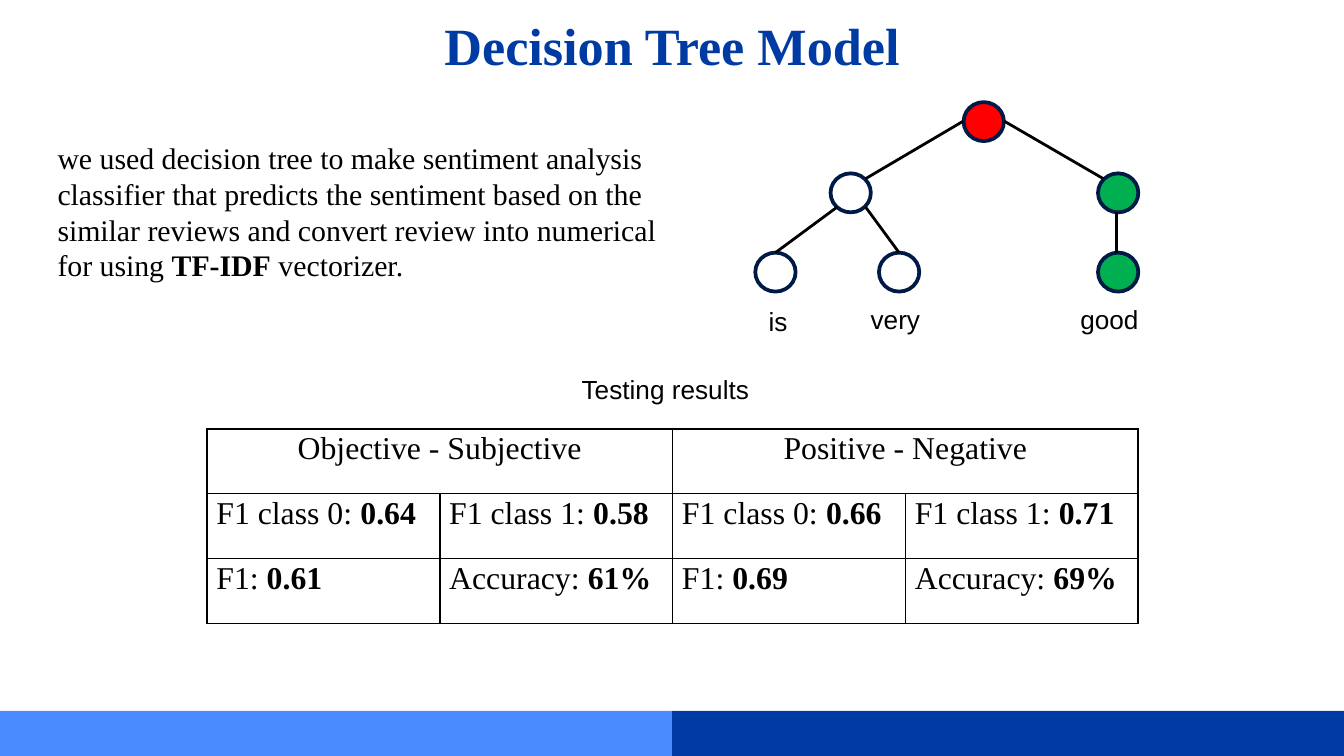
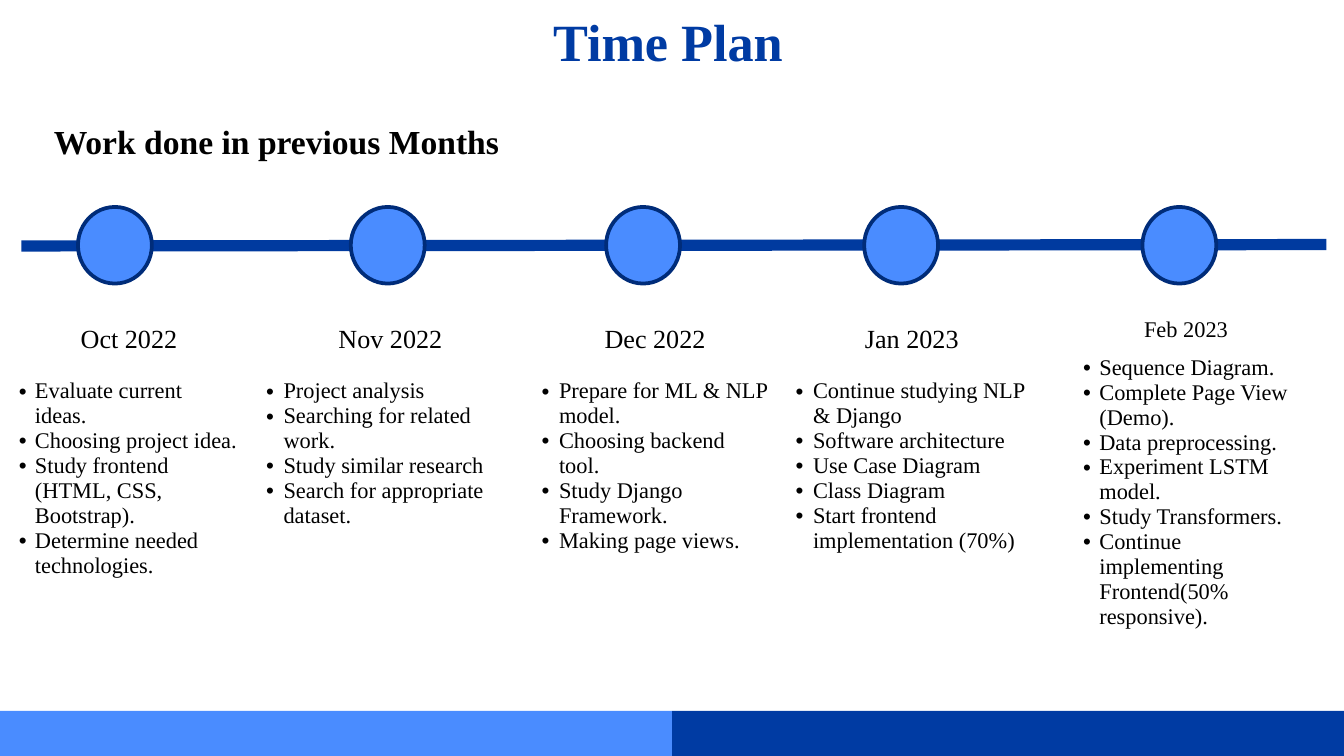
"""Builds two slides: a decision tree model with its test results, and a project time plan."""
from lxml import etree
from pptx import Presentation
from pptx.dml.color import RGBColor
from pptx.enum.shapes import MSO_CONNECTOR, MSO_SHAPE
from pptx.enum.text import MSO_ANCHOR, MSO_AUTO_SIZE, PP_ALIGN
from pptx.oxml.ns import qn
from pptx.util import Inches, Pt

LEFT, CENTER = PP_ALIGN.LEFT, PP_ALIGN.CENTER
TOP = MSO_ANCHOR.TOP
NO_FIT = MSO_AUTO_SIZE.NONE
RECT, OVAL = MSO_SHAPE.RECTANGLE, MSO_SHAPE.OVAL
STRAIGHT = MSO_CONNECTOR.STRAIGHT
NO_GRID = "{2D5ABB26-0587-4C30-8999-92F81FD0307C}"


class Theme:
    serif, sans = "Times New Roman", "Arial"
    navy, blue = "003BA3", "4A8CFF"
    timeline, milestone_edge, node_edge = "003A9F", "002C79", "001A47"
    red, green, white, black = "FF0000", "00B050", "FFFFFF", "000000"
    title, subtitle, results, body, label, small = 28, 18, 17, 16, 14, 12


def add_runs(p, parts, size, font=Theme.serif, color=Theme.black, align=LEFT):
    """Write (text, bold) parts into a paragraph."""
    p.alignment = align
    for text, bold in parts:
        r = p.add_run()
        r.text = text
        r.font.name, r.font.size, r.font.bold = font, Pt(size), bold
        r.font.color.rgb = RGBColor.from_string(color)


def add_filled(s, kind, box, fill, edge=None):
    """Draw a flat shape, with a 2 pt outline if an edge colour is given."""
    sp = s.shapes.add_shape(kind, *map(Inches, box))
    sp.shadow.inherit = False
    sp.fill.solid()
    sp.fill.fore_color.rgb = RGBColor.from_string(fill)
    if edge:
        sp.line.color.rgb = RGBColor.from_string(edge)
        sp.line.width = Pt(2)
    else:
        sp.line.fill.background()
    return sp


prs = Presentation()
prs.slide_width = Inches(10)
prs.slide_height = Inches(10) * 9 // 16
title_only = prs.slide_layouts[5]
model = prs.slides.add_slide(title_only)
plan = prs.slides.add_slide(title_only)

for x, color in [(5, Theme.navy), (0, Theme.blue)]:
    band = add_filled(model, RECT, (x, 5.29, 5, 0.34), color)
    prs.slide_master.shapes.element.append(band.element)

headings = [
    (model.shapes.title, (0, 0, 10, 0.63), "Decision Tree Model", Theme.title, Theme.navy, CENTER),
    (plan.shapes.title, (0.3, 0.8, 4.41, 0.45), "Work done in previous Months",
     Theme.subtitle, Theme.black, LEFT),
    (plan.shapes.add_textbox(0, 0, 0, 0), (-0.03, -0.03, 10, 0.63), "Time Plan",
     Theme.title, Theme.navy, CENTER),
]
for sp, box, text, size, color, align in headings:
    sp.left, sp.top, sp.width, sp.height = map(Inches, box)
    tf = sp.text_frame
    tf.word_wrap, tf.auto_size, tf.vertical_anchor = True, NO_FIT, TOP
    tf.margin_left = tf.margin_right = tf.margin_top = tf.margin_bottom = Inches(0.1)
    add_runs(tf.paragraphs[0], [(text, True)], size, color=color, align=align)

description = [
    ("we used decision tree to make sentiment analysis classifier that predicts the sentiment "
     "based on the similar reviews and convert review into numerical for using ", False),
    ("TF-IDF", True),
    (" vectorizer.", False),
]
texts = [
    ((0.33, 0.99, 4.67, 1.18), description, Theme.body, Theme.serif),
    ((4.23, 2.73, 1.54, 0.34), [("Testing results", False)], Theme.label, Theme.sans),
    ((5.62, 2.22, 0.38, 0.34), [("is", False)], Theme.label, Theme.sans),
    ((6.38, 2.21, 0.63, 0.34), [("very", False)], Theme.label, Theme.sans),
    ((7.94, 2.21, 0.74, 0.34), [("good", False)], Theme.label, Theme.sans),
]
for box, parts, size, font in texts:
    tf = model.shapes.add_textbox(*map(Inches, box)).text_frame
    tf.word_wrap = True
    add_runs(tf.paragraphs[0], parts, size, font)

nodes = [
    (7.17, 0.76, Theme.red),
    (6.18, 1.29, Theme.white), (8.17, 1.29, Theme.green),
    (5.62, 1.88, Theme.white), (6.54, 1.88, Theme.white), (8.17, 1.88, Theme.green),
]
for x, y, fill in nodes:
    add_filled(model, OVAL, (x, y, 0.3, 0.29), fill, Theme.node_edge)

lines = [
    (model, (7.17, 0.9, 6.44, 1.33), Theme.black, 1.5),
    (model, (7.47, 0.9, 8.21, 1.33), Theme.black, 1.5),
    (model, (6.23, 1.54, 5.77, 1.88), Theme.black, 1.5),
    (model, (6.44, 1.54, 6.69, 1.88), Theme.black, 1.5),
    (model, (8.31, 1.58, 8.31, 1.88), Theme.black, 1.5),
    (plan, (0.16, 1.83, 9.87, 1.82), Theme.timeline, 6),
]
for s, ends, color, width in lines:
    line = s.shapes.add_connector(STRAIGHT, *map(Inches, ends))
    line.line.color.rgb = RGBColor.from_string(color)
    line.line.width = Pt(width)
    etree.SubElement(line.element.spPr, qn("a:effectLst"))

for x in (0.58, 2.61, 4.51, 6.43, 8.5):
    add_filled(plan, OVAL, (x, 1.54, 0.55, 0.57), Theme.blue, Theme.milestone_edge)

results = [
    [("Objective - Subjective", ""), None, ("Positive - Negative", ""), None],
    [("F1 class 0: ", "0.64"), ("F1 class 1: ", "0.58"),
     ("F1 class 0: ", "0.66"), ("F1 class 1: ", "0.71")],
    [("F1: ", "0.61"), ("Accuracy: ", "61%"), ("F1: ", "0.69"), ("Accuracy: ", "69%")],
]
box = map(Inches, (1.54, 3.19, 6.93, 1.45))
table = model.shapes.add_table(3, 4, *box).table
table.first_row = table.horz_banding = False
table._tbl.tblPr.find(qn("a:tableStyleId")).text = NO_GRID
for i in (0, 2):
    table.cell(0, i).merge(table.cell(0, i + 1))
for i, row in enumerate(results):
    for j, entry in enumerate(row):
        cell = table.cell(i, j)
        cell.margin_left = cell.margin_right = Inches(0.07)
        cell.margin_top = cell.margin_bottom = 0
        for side in ("lnL", "lnR", "lnT", "lnB"):
            ln = etree.SubElement(cell._tc.get_or_add_tcPr(), qn(f"a:{side}"), w=str(Pt(1)))
            fill = etree.SubElement(ln, qn("a:solidFill"))
            etree.SubElement(fill, qn("a:srgbClr"), val=Theme.black)
        cell.fill.background()
        if entry:
            name, value = entry
            parts = [(name, False)] + ([(value, True)] if value else [])
            p = cell.text_frame.paragraphs[0]
            p.line_spacing, p.space_after = 1.07, Pt(2)
            add_runs(p, parts, Theme.results, align=LEFT if value else CENTER)

first_months = [
    ("Oct 2022", 1.84, 0.12, [
        "Evaluate current ideas.", "Choosing project idea.",
        "Study frontend (HTML, CSS, Bootstrap).", "Determine needed technologies."]),
    ("Nov 2022", 2.05, 0.13, [
        "Project analysis", "Searching for related work.",
        "Study similar research", "Search for appropriate dataset."]),
    ("Dec 2022", 1.89, 0.13, [
        "Prepare for ML & NLP model.", "Choosing backend tool.",
        "Study Django Framework.", "Making page views."]),
    ("Jan 2023", 1.93, 0.13, [
        "Continue studying NLP & Django", "Software architecture", "Use Case Diagram",
        "Class Diagram", "Start frontend implementation (70%)"]),
]
last_month = [
    ("Feb 2023", 1.73, 0.12, [
        "Sequence Diagram.", "Complete Page View (Demo).", "Data preprocessing.",
        "Experiment LSTM model.", "Study Transformers.",
        "Continue implementing Frontend(50% responsive)."]),
]
schedules = [
    (first_months, (0.04, 2.37, 7.71, 2.6), (0.4, 2.2), Theme.label),
    (last_month, (7.96, 2.31, 1.73, 2.69), (0.26, 2.43), Theme.small),
]
for months, box, heights, month_size in schedules:
    table = plan.shapes.add_table(2, len(months), *map(Inches, box)).table
    table.first_row = table.horz_banding = False
    table._tbl.tblPr.find(qn("a:tableStyleId")).text = NO_GRID
    for row, height in zip(table.rows, heights):
        row.height = Inches(height)
    for j, (month, width, indent, tasks) in enumerate(months):
        table.columns[j].width = Inches(width)
        head, body = table.cell(0, j), table.cell(1, j)
        head.fill.background()
        body.fill.background()
        add_runs(head.text_frame.paragraphs[0], [(month, False)], month_size, align=CENTER)
        tf = body.text_frame
        for k, task in enumerate(tasks):
            p = tf.add_paragraph() if k else tf.paragraphs[0]
            add_runs(p, [(task, False)], Theme.small)
            pPr = p._p.get_or_add_pPr()
            pPr.set("marL", str(Inches(indent)))
            pPr.set("indent", str(-Inches(indent)))
            bullet_color = etree.SubElement(pPr, qn("a:buClr"))
            etree.SubElement(bullet_color, qn("a:srgbClr"), val=Theme.black)
            etree.SubElement(pPr, qn("a:buFont"), typeface=Theme.sans)
            etree.SubElement(pPr, qn("a:buChar"), char="•")

prs.save("out.pptx")
